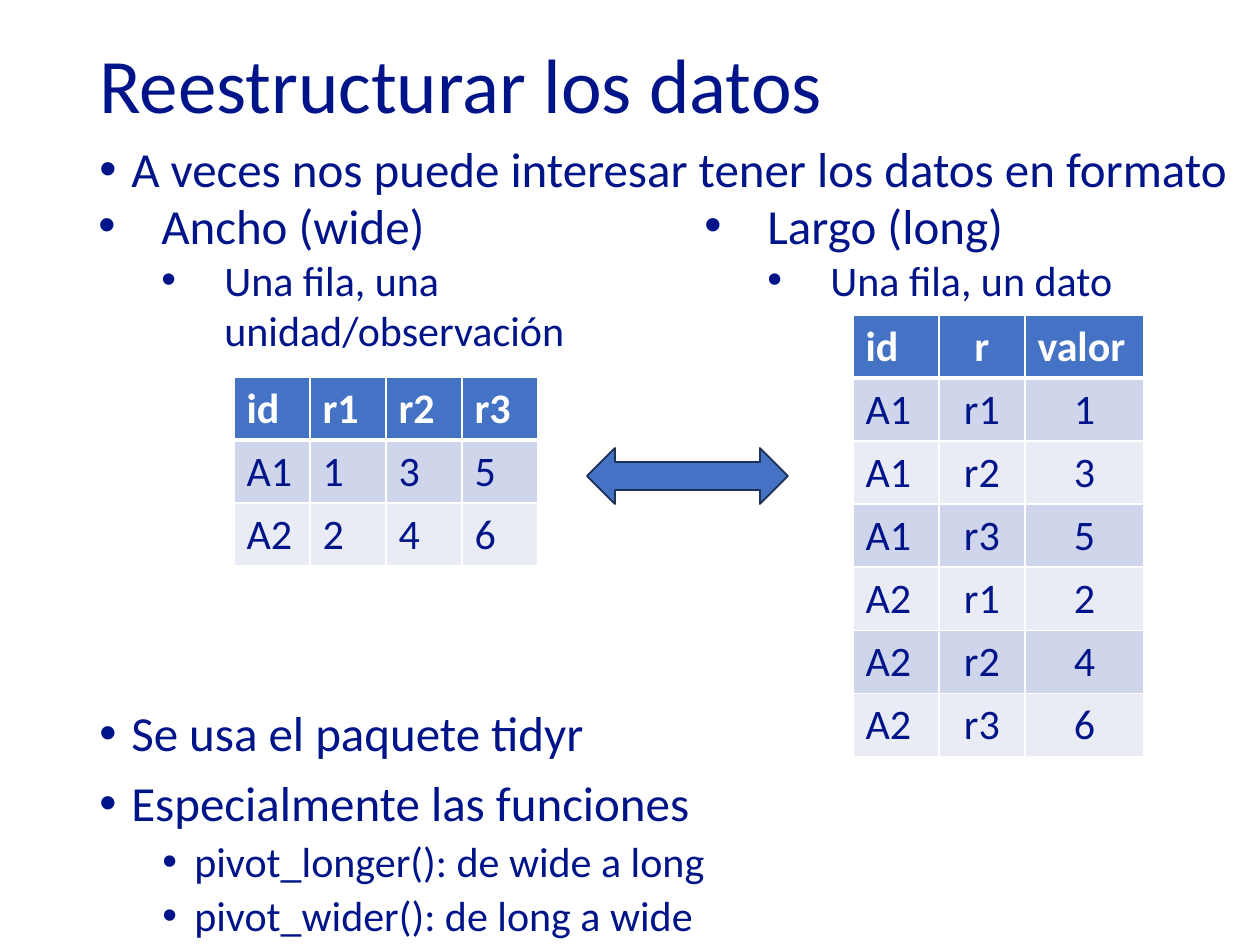
from lxml import etree
from pptx import Presentation
from pptx import util as u
from pptx.dml.color import RGBColor
from pptx.enum import shapes, text
from pptx.oxml.ns import qn

EMU_PER_INCH, PX_PER_INCH = 914400, 126
NAVY = RGBColor(0x00, 0x14, 0x89)
BLUE = RGBColor(0x44, 0x72, 0xC4)
OUTLINE = RGBColor(0x1D, 0x31, 0x55)
BAND_DARK = RGBColor(0xCF, 0xD5, 0xEA)
BAND_LIGHT = RGBColor(0xE9, 0xEB, 0xF5)
WHITE = RGBColor(0xFF, 0xFF, 0xFF)
FONT = "Calibri"
ROW_HEIGHT = 63
LEFT, CENTER = text.PP_ALIGN.LEFT, text.PP_ALIGN.CENTER

WIDE = [["id", "r1", "r2", "r3"], ["A1", "1", "3", "5"], ["A2", "2", "4", "6"]]


def px(length):
    return u.Emu(round(length * EMU_PER_INCH / PX_PER_INCH))


def to_long(wide):
    """Turn the wide rows into one row per value."""
    header, *units = wide
    return [["id", "r", "valor"]] + [
        [unit[0], name, value]
        for unit in units
        for name, value in zip(header[1:], unit[1:])
    ]


def set_font(paragraph, size, color=NAVY, bold=False):
    font = paragraph.font
    font.name, font.size, font.bold = FONT, u.Pt(size), bold
    font.color.rgb = color


def add_bullet(paragraph, margin, hanging):
    properties = paragraph._p.get_or_add_pPr()
    properties.set("marL", str(px(margin)))
    properties.set("indent", str(-px(hanging)))
    color = etree.SubElement(properties, qn("a:buClr"))
    etree.SubElement(color, qn("a:srgbClr"), val=str(NAVY))
    etree.SubElement(properties, qn("a:buFont"), typeface="Arial")
    etree.SubElement(properties, qn("a:buChar"), char="•")


def add_text_frame(slide, left, top, width, height):
    frame = slide.shapes.add_textbox(px(left), px(top), px(width), px(height)).text_frame
    frame.word_wrap = True
    return frame


def add_title(slide, title):
    frame = add_text_frame(slide, 87, -3, 1086, 183)
    frame.vertical_anchor = text.MSO_ANCHOR.MIDDLE
    heading = frame.paragraphs[0]
    heading.text = title
    heading.line_spacing = 0.9
    set_font(heading, 44)


def add_bullets(frame, items, hanging, line_spacing=1.0):
    """Fill the frame with (wording, level, margin, size, space before) items."""
    for index, (wording, level, margin, size, space) in enumerate(items):
        item = frame.add_paragraph() if index else frame.paragraphs[0]
        item.text = wording
        item.level = level
        add_bullet(item, margin, hanging)
        item.line_spacing = line_spacing
        item.space_before = u.Pt(space)
        set_font(item, size)


def add_borders(cell, top=0.96, bottom=0.96):
    properties = cell._tc.get_or_add_tcPr()
    widths = {"a:lnL": 0.96, "a:lnR": 0.96, "a:lnT": top, "a:lnB": bottom}
    for index, (side, width) in enumerate(widths.items()):
        line = etree.Element(qn(side), w=str(u.Pt(width)))
        fill = etree.SubElement(line, qn("a:solidFill"))
        etree.SubElement(fill, qn("a:srgbClr"), val=str(WHITE))
        properties.insert(index, line)


def add_data_table(slide, left, top, widths, rows, header_aligns, body_aligns):
    frame = slide.shapes.add_table(
        len(rows), len(widths), px(left), px(top),
        px(sum(widths)), px(ROW_HEIGHT * len(rows)))
    table = frame.table
    for column, width in zip(table.columns, widths):
        column.width = px(width)
    for r, row in enumerate(rows):
        is_header = r == 0
        aligns = header_aligns if is_header else body_aligns
        for c, value in enumerate(row):
            cell = table.cell(r, c)
            cell.text = value
            cell.fill.solid()
            cell.fill.fore_color.rgb = (
                BLUE if is_header else BAND_DARK if r % 2 else BAND_LIGHT)
            add_borders(cell, top=3 if r == 1 else 0.96, bottom=3 if is_header else 0.96)
            paragraph = cell.text_frame.paragraphs[0]
            paragraph.alignment = aligns[c]
            set_font(paragraph, 24, WHITE if is_header else NAVY, is_header)


def add_double_arrow(slide, left, top, width, height):
    arrow = slide.shapes.add_shape(
        shapes.MSO_SHAPE.LEFT_RIGHT_ARROW, px(left), px(top), px(width), px(height))
    arrow.shadow.inherit = False
    arrow.fill.solid()
    arrow.fill.fore_color.rgb = BLUE
    arrow.line.color.rgb = OUTLINE
    arrow.line.width = u.Pt(1)


def main():
    deck = Presentation()
    deck.slide_width, deck.slide_height = px(1260), px(945)
    slide = deck.slides.add_slide(deck.slide_layouts[6])

    add_title(slide, "Reestructurar los datos")

    body = add_text_frame(slide, 87, 139, 1162, 806)
    add_bullets(body, [
        ("A veces nos puede interesar tener los datos en formato", 0, 32, 28, 10),
        ("Se usa el paquete tidyr", 0, 32, 28, 292),
        ("Especialmente las funciones", 0, 32, 28, 10),
        ("pivot_longer(): de wide a long", 1, 95, 24, 5),
        ("pivot_wider(): de long a wide", 1, 95, 24, 5),
    ], hanging=32, line_spacing=0.9)

    formats = add_text_frame(slide, 23, 189, 1237, 223)
    formats._txBody.bodyPr.set("numCol", "2")
    add_bullets(formats, [
        ("Ancho (wide)", 1, 126, 28, 0),
        ("Una fila, una unidad/observación", 2, 189, 24, 0),
        ("Largo (long)", 1, 126, 28, 0),
        ("Una fila, un dato", 2, 189, 24, 0),
    ], hanging=63)

    add_data_table(slide, 234, 377, [76] * 4, WIDE, [LEFT] * 4, [LEFT] * 4)
    add_data_table(slide, 853, 315, [86, 86, 119], to_long(WIDE),
                   [LEFT, CENTER, LEFT], [LEFT, CENTER, CENTER])
    add_double_arrow(slide, 587, 448, 201, 56)

    deck.save("out.pptx")


if __name__ == "__main__":
    main()
